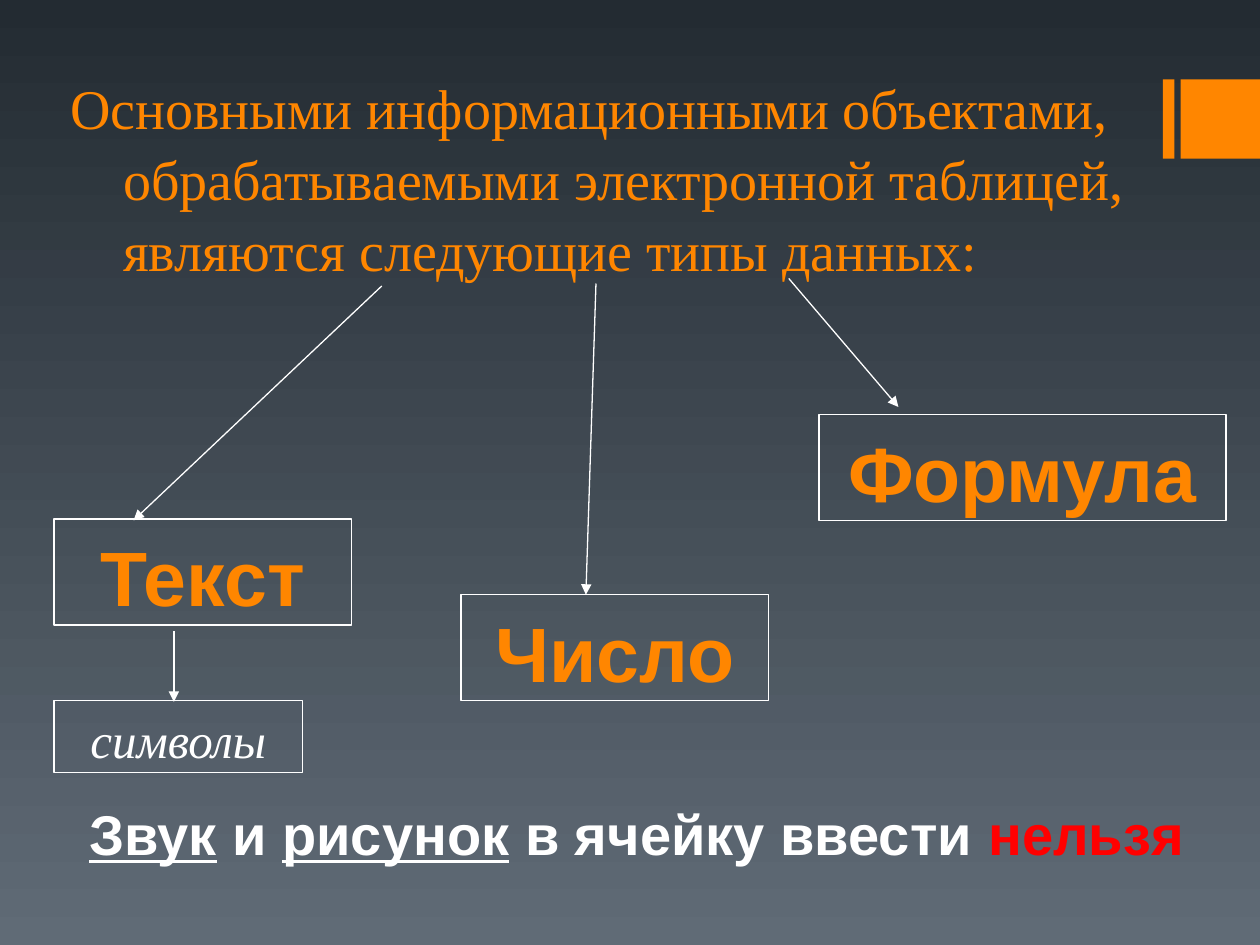
import pptx
import pptx.util
from pptx.dml.color import RGBColor
from pptx.enum.shapes import MSO_CONNECTOR, MSO_SHAPE
from pptx.enum.text import MSO_ANCHOR, PP_ALIGN
from pptx.oxml.ns import qn
from lxml import etree

W, H = 10, 7.5
COLORS = {"top": "232B32", "bottom": "606B76", "accent": "FF8600",
          "light": "FFFFFF", "alert": "FF0000"}
SERIF, SANS = "Times New Roman", "Arial"
LINE_SPACING = 1.05

TITLE = ("Основными информационными объектами, обрабатываемыми "
         "электронной таблицей, являются следующие типы данных:")
TITLE_BOX = (0.42, 0.33, 9.54, 1.96)

# text, left, top, width
TYPES = [("Текст", 0.43, 4.12, 2.36),
         ("Число", 3.66, 4.72, 2.44),
         ("Формула", 6.5, 3.29, 3.23)]
TYPE_HEIGHT = 0.84
SYMBOLS = ("символы", 0.43, 5.56, 1.97, 0.57)

# from x, y to x, y
ARROWS = [(1.38, 5.01, 1.38, 5.57),
          (3.03, 2.27, 1.06, 4.13),
          (4.73, 2.25, 4.65, 4.72),
          (6.26, 2.21, 7.13, 3.23)]

# text, underlined, colour
NOTE = [("Звук", True, "light"), (" и ", False, "light"),
        ("рисунок", True, "light"), (" в ячейку ввести ", False, "light"),
        ("нельзя", False, "alert")]
NOTE_BOX = (0.61, 6.27, 8.91, 0.64)

MARK_TOP, MARK_SIZE = 0.63, 0.63
MARKS = [(9.23, 0.09), (W - MARK_SIZE, MARK_SIZE)]  # left, width


def rgb(name):
    return RGBColor.from_string(COLORS[name])


def inches(*values):
    return [pptx.util.Inches(v) for v in values]


def style(p, font, size, color, bold=False, italic=False):
    p.line_spacing = LINE_SPACING
    f = p.font
    f.name, f.size, f.bold, f.italic = font, pptx.util.Pt(size), bold, italic
    f.color.rgb = rgb(color)


def add_rect(s, box, fill=None):
    """Solid rectangle without a line, or a white outline without a fill."""
    sp = s.shapes.add_shape(MSO_SHAPE.RECTANGLE, *inches(*box))
    sp.shadow.inherit = False
    if fill:
        sp.fill.solid()
        sp.fill.fore_color.rgb = rgb(fill)
        sp.line.fill.background()
    else:
        sp.fill.background()
        sp.line.color.rgb = rgb("light")
        sp.line.width = pptx.util.Pt(0.75)
    return sp


def add_label(s, text, box, *args, **kwargs):
    tf = add_rect(s, box).text_frame
    tf.word_wrap = True
    tf.vertical_anchor = MSO_ANCHOR.TOP
    p = tf.paragraphs[0]
    p.text = text
    p.alignment = PP_ALIGN.CENTER
    style(p, *args, **kwargs)


def add_arrow(s, ends):
    c = s.shapes.add_connector(MSO_CONNECTOR.STRAIGHT, *inches(*ends))
    c.line.color.rgb = rgb("light")
    c.line.width = pptx.util.Pt(0.75)
    etree.SubElement(c.line._get_or_add_ln(), qn("a:tailEnd"), type="triangle")
    etree.SubElement(c._element.spPr, qn("a:effectLst"))


def add_title(s):
    tf = s.shapes.add_textbox(*inches(*TITLE_BOX)).text_frame
    tf.word_wrap = True
    tf.vertical_anchor = MSO_ANCHOR.BOTTOM
    p = tf.paragraphs[0]
    p.text = TITLE
    style(p, SERIF, 32, "accent")
    pPr = p._p.get_or_add_pPr()
    pPr.set("marL", str(pptx.util.Inches(0.46)))
    pPr.set("indent", str(pptx.util.Inches(-0.42)))


def add_note(s):
    tf = s.shapes.add_textbox(*inches(*NOTE_BOX)).text_frame
    tf.word_wrap = False
    p = tf.paragraphs[0]
    style(p, SANS, 32, "light", bold=True)
    for text, underline, color in NOTE:
        r = p.add_run()
        r.text = text
        r.font.underline = underline
        r.font.color.rgb = rgb(color)


def main():
    prs = pptx.Presentation()
    prs.slide_width, prs.slide_height = inches(W, H)
    s = prs.slides.add_slide(prs.slide_layouts[6])

    fill = s.background.fill
    fill.gradient()
    fill.gradient_angle = 270
    for stop, color, position in zip(fill.gradient_stops, ("top", "bottom"), (0, 1)):
        stop.color.rgb = rgb(color)
        stop.position = position

    for left, width in MARKS:
        add_rect(s, (left, MARK_TOP, width, MARK_SIZE), "accent")
    add_title(s)
    for text, *box in TYPES:
        add_label(s, text, (*box, TYPE_HEIGHT), SANS, 44, "accent", bold=True)
    text, *box = SYMBOLS
    add_label(s, text, box, SERIF, 28, "light", italic=True)
    for ends in ARROWS:
        add_arrow(s, ends)
    add_note(s)
    prs.save("out.pptx")


if __name__ == "__main__":
    main()
